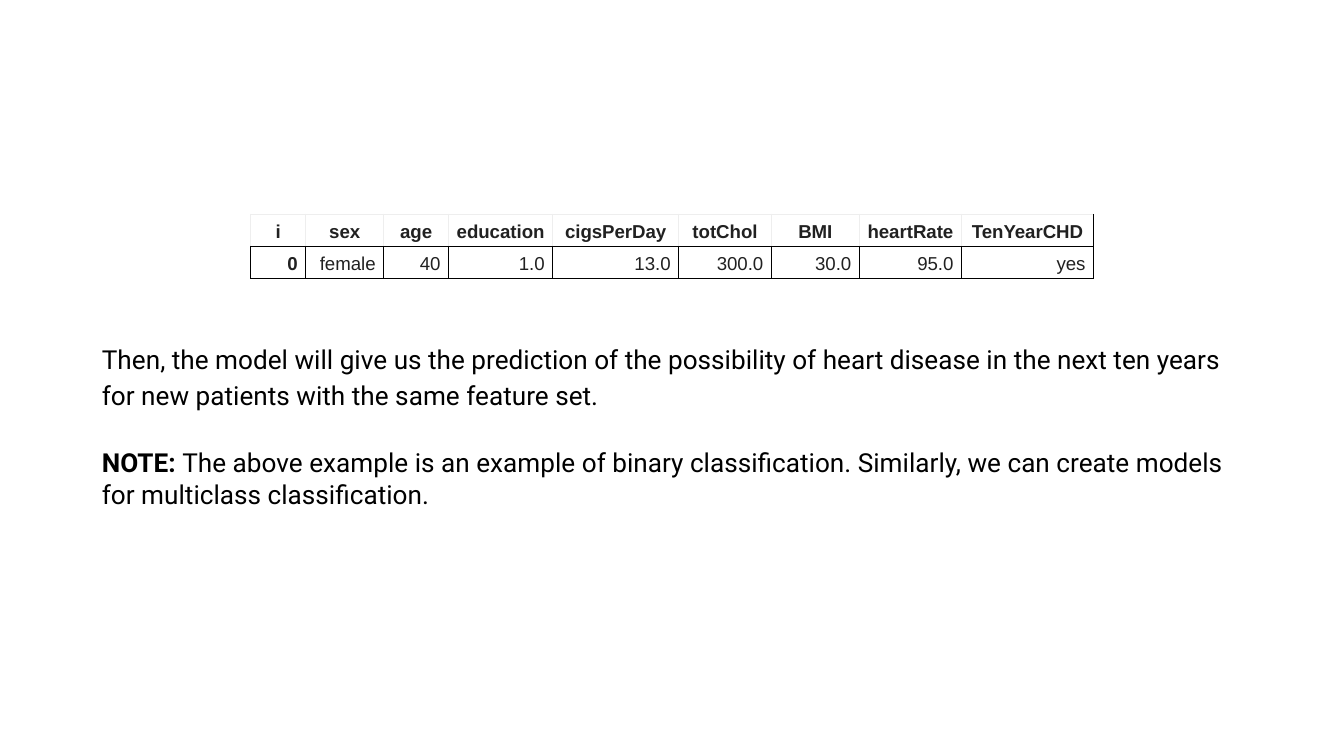
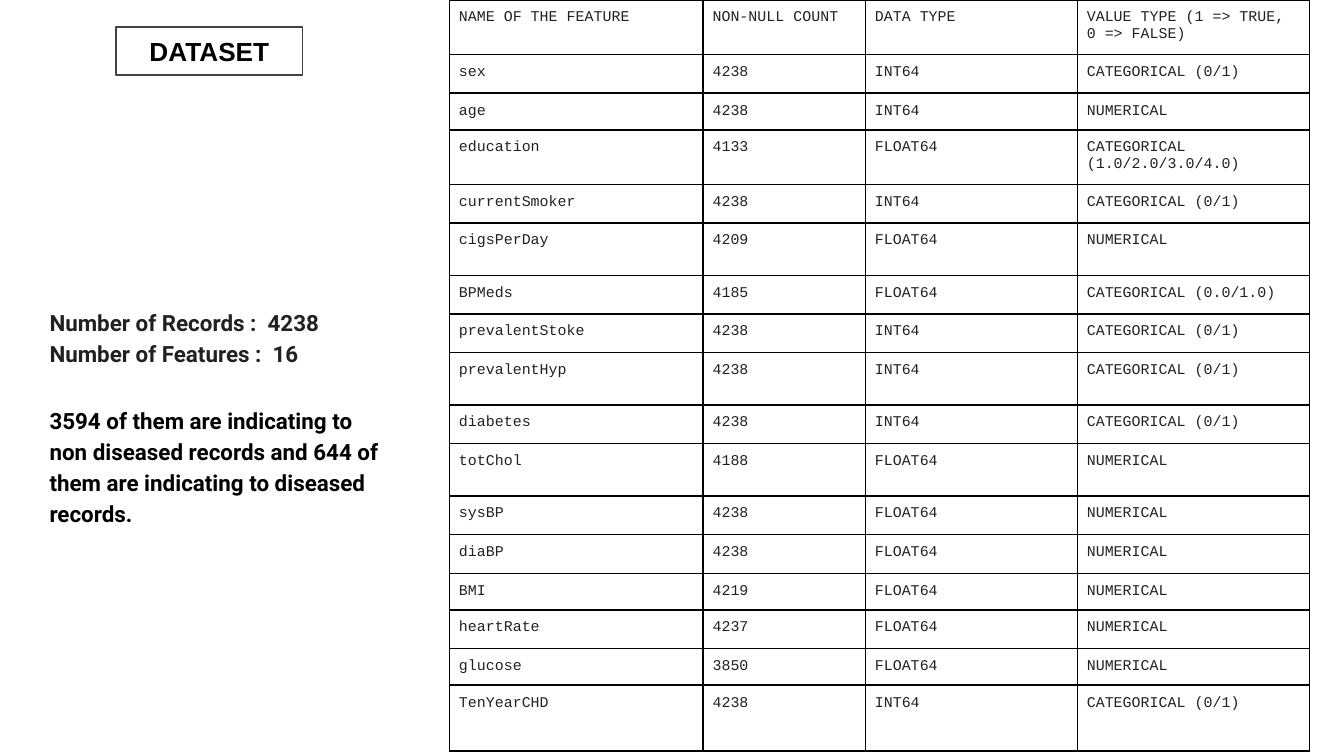
import pptx
import pptx.util
import pptx.dml.color
import pptx.enum.shapes
import pptx.enum.text
import pptx.oxml

PX = 2286  # EMU, 400 px to the inch
BLACK = "000000"
DARK = "212121"
PALE = "EEEEEE"
BORDER = "424242"
LEFT = pptx.enum.text.PP_ALIGN.LEFT
CENTER = pptx.enum.text.PP_ALIGN.CENTER
RIGHT = pptx.enum.text.PP_ALIGN.RIGHT
MIDDLE = pptx.enum.text.MSO_ANCHOR.MIDDLE
PARAGRAPH_GAP = 19.5
color = pptx.dml.color.RGBColor.from_string


def style_paragraph(paragraph, font_name, size, hex_color, bold=False,
                    align=LEFT, spacing=1.0, before=0):
    paragraph.alignment = align
    paragraph.line_spacing = spacing
    paragraph.space_before = pptx.util.Pt(before)
    for run in paragraph.runs:
        run.font.name = font_name
        run.font.size = pptx.util.Pt(size)
        run.font.bold = bold
        run.font.color.rgb = color(hex_color)


def add_grid(slide, left, top, widths, heights, rows, margins, line_width, header_line):
    """Add a plain bordered table; the header's inner lines use header_line."""
    table = slide.shapes.add_table(
        len(rows), len(widths), left * PX, top * PX,
        sum(widths) * PX, sum(heights) * PX).table
    table.first_row = table.horz_banding = False
    for column, width in zip(table.columns, widths):
        column.width = width * PX
    for row, height in zip(table.rows, heights):
        row.height = height * PX
    last = len(widths) - 1
    for row_index, values in enumerate(rows):
        for column_index, value in enumerate(values):
            cell = table.cell(row_index, column_index)
            cell.text_frame.text = value
            cell.margin_left = cell.margin_right = margins[0] * PX
            cell.margin_top = cell.margin_bottom = margins[1] * PX
            cell.fill.background()
            properties = cell._tc.get_or_add_tcPr()
            for position, side in enumerate("LRTB"):
                outer = row_index > 0 or side == "B" or (side == "R" and column_index == last)
                line_color = BLACK if outer else header_line
                properties.insert(position, pptx.oxml.parse_xml(
                    f'<a:ln{side} xmlns:a="http://schemas.openxmlformats.org/drawingml/2006/main" '
                    f'w="{pptx.util.Pt(line_width)}"><a:solidFill><a:srgbClr val="{line_color}"/>'
                    f'</a:solidFill></a:ln{side}>'))
    return table


presentation = pptx.Presentation()
presentation.slide_width = 4000 * PX
presentation.slide_height = 2250 * PX
blank_layout = presentation.slide_layouts[6]

# Slide 1: sample patient
slide = presentation.slides.add_slide(blank_layout)
patient = [
    ["i", "sex", "age", "education", "cigsPerDay", "totChol", "BMI", "heartRate", "TenYearCHD"],
    ["0", "female", "40", "1.0", "13.0", "300.0", "30.0", "95.0", "yes"],
]
table = add_grid(slide, 746, 638, [164, 232, 193, 310, 375, 276, 262, 304, 393], [80, 84],
                 patient, (24, 12), 0.75, PALE)
for row_index, row in enumerate(table.rows):
    for column_index, cell in enumerate(row.cells):
        style_paragraph(cell.text_frame.paragraphs[0], "Arial", 10, DARK,
                        bold=row_index == 0 or column_index == 0,
                        align=RIGHT if row_index else CENTER, spacing=1.15)

# Explanation and note
explanation = slide.shapes.add_textbox(264 * PX, 910 * PX, 3476 * PX, 704 * PX)
text_frame = explanation.text_frame
text_frame.word_wrap = True
text_frame.vertical_anchor = MIDDLE
text_frame.margin_left = text_frame.margin_right = 40 * PX
text_frame.margin_top = text_frame.margin_bottom = 40 * PX
text_frame.text = ("Then, the model will give us the prediction of the possibility of heart "
                   "disease in the next ten years for new patients with the same feature set.")
style_paragraph(text_frame.paragraphs[0], "Roboto", 14, BLACK, spacing=1.15)
note = text_frame.add_paragraph()
for text in ("NOTE: ", "The above example is an example of binary classification. Similarly, "
                       "we can create models for multiclass classification."):
    note.add_run().text = text
style_paragraph(note, "Roboto", 14, BLACK, before=PARAGRAPH_GAP)
note.runs[0].font.bold = True

# Slide 2: dataset title
slide = presentation.slides.add_slide(blank_layout)
title = slide.shapes.add_shape(pptx.enum.shapes.MSO_SHAPE.RECTANGLE,
                               345 * PX, 80 * PX, 556 * PX, 144 * PX)
title.shadow.inherit = False
title.fill.background()
title.line.color.rgb = color(BORDER)
title.line.width = pptx.util.Pt(0.75)
title.text_frame.text = "DATASET"
title.text_frame.vertical_anchor = MIDDLE
style_paragraph(title.text_frame.paragraphs[0], "Arial", 14, BLACK, bold=True, align=CENTER)

# Record counts
counts = slide.shapes.add_textbox(108 * PX, 868 * PX, 1060 * PX, 736 * PX)
text_frame = counts.text_frame
text_frame.word_wrap = True
text_frame.auto_size = pptx.enum.text.MSO_AUTO_SIZE.SHAPE_TO_FIT_TEXT
text_frame.margin_left = text_frame.margin_right = 40 * PX
text_frame.margin_top = text_frame.margin_bottom = 40 * PX
text_frame.text = ("Number of Records :  4238\nNumber of Features :  16\n"
                   "3594 of them are indicating to non diseased records and 644 of them "
                   "are indicating to diseased records.")
for paragraph, hex_color, before in zip(text_frame.paragraphs, (DARK, DARK, BLACK),
                                        (0, 0, PARAGRAPH_GAP)):
    style_paragraph(paragraph, "Roboto", 12, hex_color, bold=True, spacing=1.15, before=before)

# Feature table
BINARY = "CATEGORICAL (0/1)"
NUMERICAL = "NUMERICAL"
features = [
    ["NAME OF THE FEATURE", "NON-NULL COUNT", "DATA TYPE", "VALUE TYPE (1 => TRUE,\n0 => FALSE)"],
    ["sex", "4238", "INT64", BINARY],
    ["age", "4238", "INT64", NUMERICAL],
    ["education", "4133", "FLOAT64", "CATEGORICAL (1.0/2.0/3.0/4.0)"],
    ["currentSmoker", "4238", "INT64", BINARY],
    ["cigsPerDay", "4209", "FLOAT64", NUMERICAL],
    ["BPMeds", "4185", "FLOAT64", "CATEGORICAL (0.0/1.0)"],
    ["prevalentStoke", "4238", "INT64", BINARY],
    ["prevalentHyp", "4238", "INT64", BINARY],
    ["diabetes", "4238", "INT64", BINARY],
    ["totChol", "4188", "FLOAT64", NUMERICAL],
    ["sysBP", "4238", "FLOAT64", NUMERICAL],
    ["diaBP", "4238", "FLOAT64", NUMERICAL],
    ["BMI", "4219", "FLOAT64", NUMERICAL],
    ["heartRate", "4237", "FLOAT64", NUMERICAL],
    ["glucose", "3850", "FLOAT64", NUMERICAL],
    ["TenYearCHD", "4238", "INT64", BINARY],
]
SHORT, NORMAL, TALL = 72, 115, 156
feature_heights = [TALL, NORMAL, SHORT, TALL, NORMAL, TALL, NORMAL, NORMAL, TALL, NORMAL,
                   TALL, NORMAL, NORMAL, SHORT, NORMAL, SHORT, 196]
table = add_grid(slide, 1338, 0, [755, 483, 631, 691], feature_heights,
                 features, (28, 28), 1, BLACK)
for cell in table.iter_cells():
    for paragraph in cell.text_frame.paragraphs:
        style_paragraph(paragraph, "Courier New", 8, DARK)

presentation.save("out.pptx")
